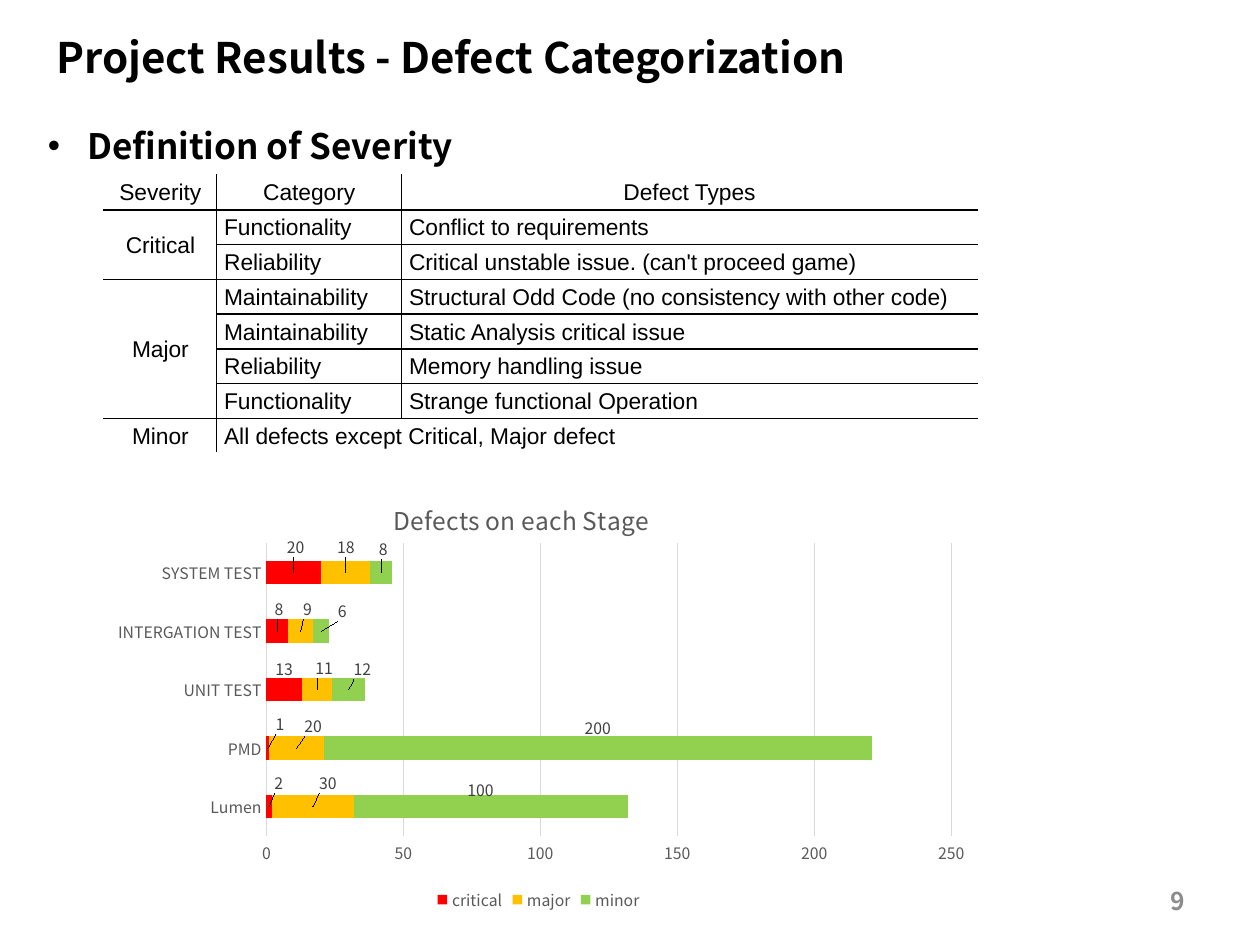
from dataclasses import dataclass

from lxml import etree
from pptx import Presentation
from pptx.chart.data import CategoryChartData
from pptx.dml.color import RGBColor
from pptx.enum.chart import XL_CHART_TYPE, XL_LABEL_POSITION, XL_LEGEND_POSITION, XL_TICK_MARK
from pptx.enum.text import MSO_ANCHOR, PP_ALIGN
from pptx.oxml.ns import qn
from pptx.util import Pt

LEFT, CENTER, RIGHT = PP_ALIGN.LEFT, PP_ALIGN.CENTER, PP_ALIGN.RIGHT
TOP, MIDDLE = MSO_ANCHOR.TOP, MSO_ANCHOR.MIDDLE
STACKED = XL_CHART_TYPE.BAR_STACKED
NO_TICK = XL_TICK_MARK.NONE
LABEL_CENTER = XL_LABEL_POSITION.CENTER
LEGEND_BOTTOM = XL_LEGEND_POSITION.BOTTOM


@dataclass(frozen=True)
class Theme:
    """Fonts, type sizes and colours of the deck."""
    sans: str = "Noto Sans CJK KR"
    grid_font: str = "Arial"
    title: int = 24
    heading: int = 20
    number: int = 14
    chart_title: int = 14
    cell: int = 13
    chart: int = 9
    ink: str = "000000"
    paper: str = "FFFFFF"
    muted: str = "8C8C8C"
    axis: str = "595959"
    label: str = "404040"
    rule: str = "D9D9D9"


THEME = Theme()

SEVERITY_ROWS = [
    ("Severity", "Category", "Defect Types"),
    ("Critical", "Functionality", "Conflict to requirements"),
    ("", "Reliability", "Critical unstable issue. (can't proceed game)"),
    ("Major", "Maintainability", "Structural Odd Code (no consistency with other code)"),
    ("", "Maintainability", "Static Analysis critical issue"),
    ("", "Reliability", "Memory handling issue"),
    ("", "Functionality", "Strange functional Operation"),
    ("Minor", "All defects except Critical, Major defect", ""),
]
MERGES = [((1, 0), (2, 0)), ((3, 0), (6, 0)), ((7, 1), (7, 2))]
COLUMN_WIDTHS = (64.3, 105.7, 329)

STAGES = ["Lumen", "PMD", "UNIT TEST", "INTERGATION TEST", "SYSTEM TEST"]
DEFECTS = [
    ("critical", "FF0000", (2, 1, 13, 8, 20),
     ((5.5, -14), (7, -14), (0, -12), (1, -13), (1, -15))),
    ("major", "FFC000", (30, 20, 11, 9, 18),
     ((8.5, -14), (9.5, -13), (4, -13), (4, -13), (0, -15))),
    ("minor", "92D050", (100, 200, 12, 6, 8),
     ((-6, -10), (0, -12), (8, -12), (12, -12), (1, -14))),
]


def style_font(font, size, color, name=THEME.sans, bold=False):
    """Set size, colour, family and weight of a font."""
    font.size, font.name, font.bold = Pt(size), name, bold
    font.color.rgb = RGBColor.from_string(color)


def write_text(frame, text, size, color=THEME.ink, name=THEME.sans, bold=False, align=LEFT):
    """Write one formatted paragraph into a text frame and return it."""
    para = frame.paragraphs[0]
    para.alignment = align
    span = para.add_run()
    span.text = text
    style_font(span.font, size, color, name, bold)
    return para


def add_text(page, box, text, anchor=TOP, wrap=True, **style):
    """Place a text box and return its paragraph."""
    frame = page.shapes.add_textbox(*map(Pt, box)).text_frame
    frame.word_wrap, frame.vertical_anchor = wrap, anchor
    return write_text(frame, text, **style)


def add_heading(page, box, text):
    """Place a bulleted section heading."""
    para = add_text(page, box, text, size=THEME.heading, bold=True)
    para.line_spacing = 1.3
    properties = para._p.get_or_add_pPr()
    properties.set("marL", str(Pt(22.5)))
    properties.set("indent", str(-Pt(22.5)))
    etree.SubElement(properties, qn("a:buFont"), typeface="Arial")
    etree.SubElement(properties, qn("a:buChar"), char="•")


def set_borders(cell, colors):
    """Draw the left, right, top and bottom borders of a cell."""
    properties = cell._tc.get_or_add_tcPr()
    for side, color in zip("LRTB", colors):
        line = etree.SubElement(properties, qn(f"a:ln{side}"), w=str(Pt(1)))
        fill = etree.SubElement(line, qn("a:solidFill"))
        etree.SubElement(fill, qn("a:srgbClr"), val=color)


def add_severity_table(page, box):
    """Place the severity table, ruled inside and open at its outer edge."""
    rows, columns = len(SEVERITY_ROWS), len(COLUMN_WIDTHS)
    table = page.shapes.add_table(rows, columns, *map(Pt, box)).table
    table.first_row = table.horz_banding = False
    for column, width in zip(table.columns, COLUMN_WIDTHS):
        column.width = Pt(width)
    for row in table.rows:
        row.height = Pt(box[3] / rows)
    for first, last in MERGES:
        table.cell(*first).merge(table.cell(*last))
    for r, texts in enumerate(SEVERITY_ROWS):
        for c, text in enumerate(texts):
            cell = table.cell(r, c)
            if cell.is_spanned:
                continue
            centered = r == 0 or c == 0
            cell.margin_left = Pt(0.7 if centered else 4.3)
            cell.margin_right = cell.margin_top = Pt(0.7)
            cell.margin_bottom = Pt(0)
            cell.vertical_anchor = MIDDLE
            write_text(cell.text_frame, text, THEME.cell, name=THEME.grid_font,
                       align=CENTER if centered else LEFT)
            right = c + (cell.span_width if cell.is_merge_origin else 1)
            outer = (c == 0, right == columns, r == 0, r == rows - 1)
            set_borders(cell, [THEME.paper if edge else THEME.ink for edge in outer])
            cell.fill.background()


def make_layout(**values):
    """Build a manual chart layout from its parts."""
    layout = etree.Element(qn("c:layout"))
    manual = etree.SubElement(layout, qn("c:manualLayout"))
    for tag, value in values.items():
        etree.SubElement(manual, qn(f"c:{tag}"), val=str(value))
    return layout


def style_series(series, color, offsets, box):
    """Colour a series and shift its value labels by offsets in points."""
    series.format.fill.solid()
    series.format.fill.fore_color.rgb = RGBColor.from_string(color)
    labels = series.data_labels
    labels.show_value = True
    style_font(labels.font, THEME.chart, THEME.label)
    for index, (across, down) in enumerate(offsets):
        label = series.points[index].data_label
        style_font(label.font, THEME.chart, THEME.label)
        label.position = LABEL_CENTER
    marks = series._element.findall(f".//{qn('c:dLbl')}")
    for mark, (across, down) in zip(marks, offsets):
        mark.insert(1, make_layout(x=round(across / box[2], 4), y=round(down / box[3], 4)))


def add_defect_chart(page, box):
    """Place the stacked bar chart of defects per stage."""
    data = CategoryChartData()
    data.categories = STAGES
    for name, _, values, _ in DEFECTS:
        data.add_series(name, values)
    chart = page.shapes.add_chart(STACKED, *map(Pt, box), data).chart
    style_font(chart.font, THEME.chart, THEME.axis)
    chart.has_title = True
    write_text(chart.chart_title.text_frame, "Defects on each Stage",
               THEME.chart_title, THEME.axis, align=CENTER)
    title = chart.chart_title._element
    for old in title.findall(qn("c:layout")):
        title.remove(old)
    title.insert(1, make_layout(xMode="edge", yMode="edge", x=0.33, y=0.05))
    chart.has_legend = True
    chart.legend.position, chart.legend.include_in_layout = LEGEND_BOTTOM, False
    style_font(chart.legend.font, THEME.chart, THEME.axis)

    stages, counts = chart.category_axis, chart.value_axis
    for axis in (stages, counts):
        axis.major_tick_mark = axis.minor_tick_mark = NO_TICK
        style_font(axis.tick_labels.font, THEME.chart, THEME.axis)
    counts.minimum_scale, counts.maximum_scale, counts.major_unit = 0, 250, 50
    counts.has_major_gridlines = True
    counts.format.line.fill.background()
    for line in (stages.format.line, counts.major_gridlines.format.line):
        line.width = Pt(0.75)
        line.color.rgb = RGBColor.from_string(THEME.rule)

    plot = chart.plots[0]
    plot.gap_width, plot.overlap, plot.vary_by_categories = 150, 100, False
    for series, (_, color, _, offsets) in zip(plot.series, DEFECTS):
        style_series(series, color, offsets, box)
    area = chart._chartSpace.find(f".//{qn('c:plotArea')}")
    for old in area.findall(qn("c:layout")):
        area.remove(old)
    area.insert(0, make_layout(layoutTarget="inner", xMode="edge", yMode="edge",
                               x=0.19, y=0.16, w=0.78, h=0.66))


def main():
    """Build the defect categorization slide."""
    deck = Presentation()
    deck.slide_width, deck.slide_height = Pt(720), Pt(540)
    page = deck.slides.add_slide(deck.slide_layouts[6])
    add_text(page, (516, 500.5, 168, 28.8), "9", anchor=MIDDLE, size=THEME.number,
             color=THEME.muted, bold=True, align=RIGHT)
    add_text(page, (25.2, 14.4, 550, 36), "Project Results - Defect Categorization",
             wrap=False, size=THEME.title, bold=True)
    add_heading(page, (20.2, 60.5, 669, 39), "Definition of Severity")
    add_severity_table(page, (59.5, 100, 499, 159))
    add_defect_chart(page, (56.9, 270, 501.8, 253.4))
    deck.save("out.pptx")


if __name__ == "__main__":
    main()
